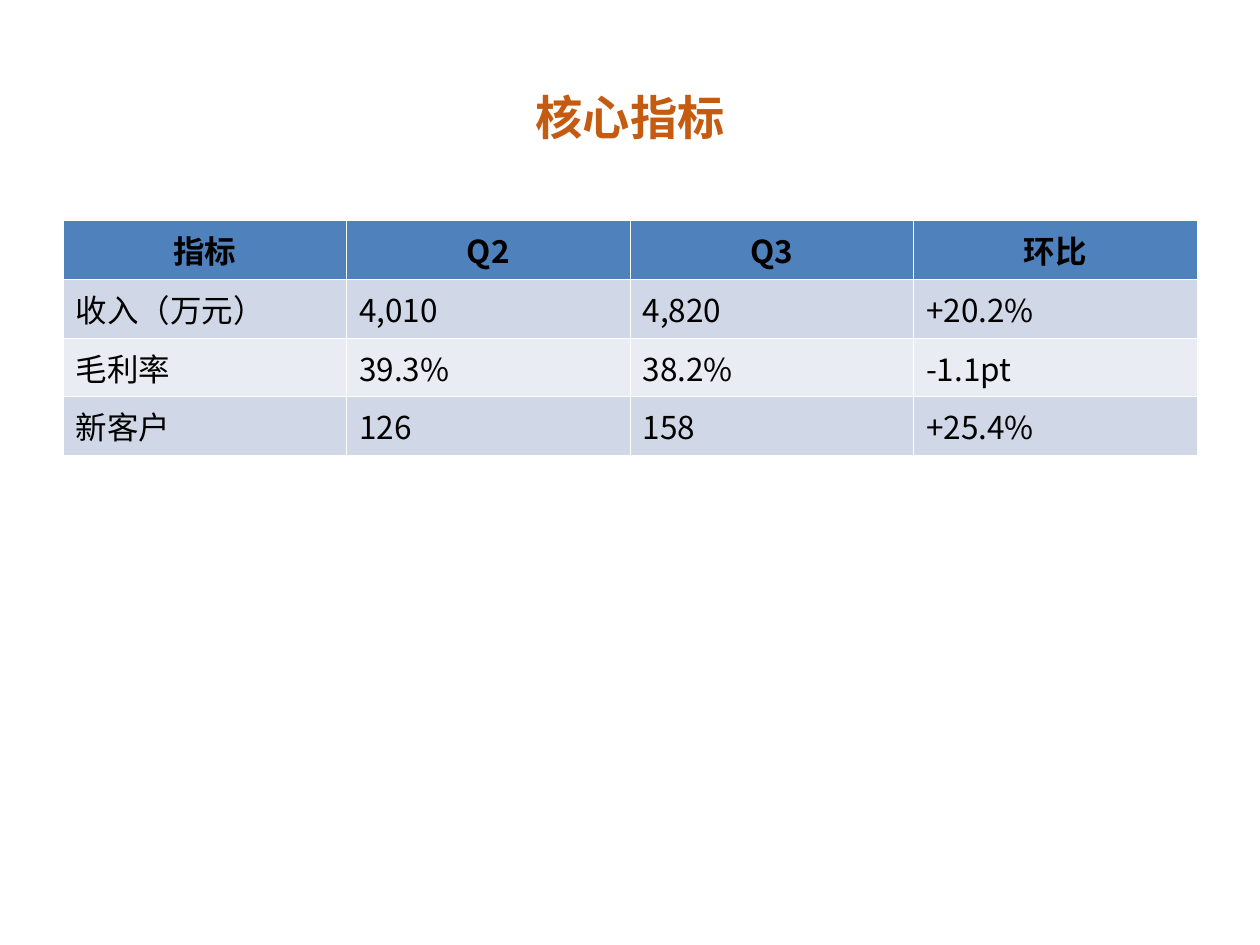
import pptx
import pptx.dml.color
import pptx.enum.text
import pptx.oxml.ns
import pptx.util
from lxml import etree
from pptx.dml.color import RGBColor
from pptx.util import Inches

FONT = "Noto Sans CJK SC"
ORANGE = RGBColor(0xC5, 0x5A, 0x11)
BLACK = RGBColor(0x00, 0x00, 0x00)
WHITE = RGBColor(0xFF, 0xFF, 0xFF)
HEADER_BLUE = RGBColor(0x4F, 0x81, 0xBD)
BAND_DARK = RGBColor(0xD0, 0xD8, 0xE7)
BAND_LIGHT = RGBColor(0xE9, 0xEC, 0xF3)

METRICS = [
    ("指标", "Q2", "Q3", "环比"),
    ("收入（万元）", "4,010", "4,820", "+20.2%"),
    ("毛利率", "39.3%", "38.2%", "-1.1pt"),
    ("新客户", "126", "158", "+25.4%"),
]


def add_run(paragraph, text, size, color, bold):
    """Append one run with its Latin and East Asian fonts."""
    run = paragraph.add_run()
    run.text = text
    run.font.size = pptx.util.Pt(size)
    run.font.bold = bold
    run.font.color.rgb = color
    run.font.name = FONT
    latin = run.font._element.find(pptx.oxml.ns.qn("a:latin"))
    east_asian = etree.Element(pptx.oxml.ns.qn("a:ea"), typeface=FONT)
    latin.addnext(east_asian)


def set_borders(cell, color, width):
    """Draw a solid line on all four sides of a cell."""
    properties = cell._tc.get_or_add_tcPr()
    for side in ("lnL", "lnR", "lnT", "lnB"):
        line = etree.SubElement(properties, pptx.oxml.ns.qn(f"a:{side}"),
                                w=str(pptx.util.Pt(width)))
        solid = etree.SubElement(line, pptx.oxml.ns.qn("a:solidFill"))
        etree.SubElement(solid, pptx.oxml.ns.qn("a:srgbClr"), val=str(color))


def place_title(slide, left, top, width, height):
    """Place and format the slide title."""
    title = slide.shapes.title
    title.left, title.top, title.width, title.height = left, top, width, height
    title.text_frame.vertical_anchor = pptx.enum.text.MSO_ANCHOR.MIDDLE
    heading = title.text_frame.paragraphs[0]
    heading.alignment = pptx.enum.text.PP_ALIGN.CENTER
    add_run(heading, "核心指标", 27, ORANGE, True)


def place_metrics(slide, left, top, width, height):
    """Place the metrics table with a header row and banded body."""
    metrics = slide.shapes.add_table(
        len(METRICS), len(METRICS[0]), left, top, width, height).table
    for row_index, values in enumerate(METRICS):
        is_header = row_index == 0
        band = BAND_DARK if row_index % 2 else BAND_LIGHT
        for column_index, value in enumerate(values):
            cell = metrics.cell(row_index, column_index)
            set_borders(cell, WHITE, 0.45)
            cell.fill.solid()
            cell.fill.fore_color.rgb = HEADER_BLUE if is_header else band
            entry = cell.text_frame.paragraphs[0]
            entry.line_spacing = 1.01
            entry.alignment = (pptx.enum.text.PP_ALIGN.CENTER if is_header
                               else pptx.enum.text.PP_ALIGN.LEFT)
            add_run(entry, value, 18, BLACK, is_header)


def main():
    """Build the core metrics slide."""
    deck = pptx.Presentation()
    deck.slide_width, deck.slide_height = Inches(10), Inches(7.5)
    slide = deck.slides.add_slide(deck.slide_layouts.get_by_name("Title Only"))
    place_title(slide, Inches(0.5), Inches(0.3), Inches(9), Inches(1.25))
    place_metrics(slide, Inches(0.5), Inches(1.75), Inches(9), Inches(1.8))
    deck.save("out.pptx")


if __name__ == "__main__":
    main()
